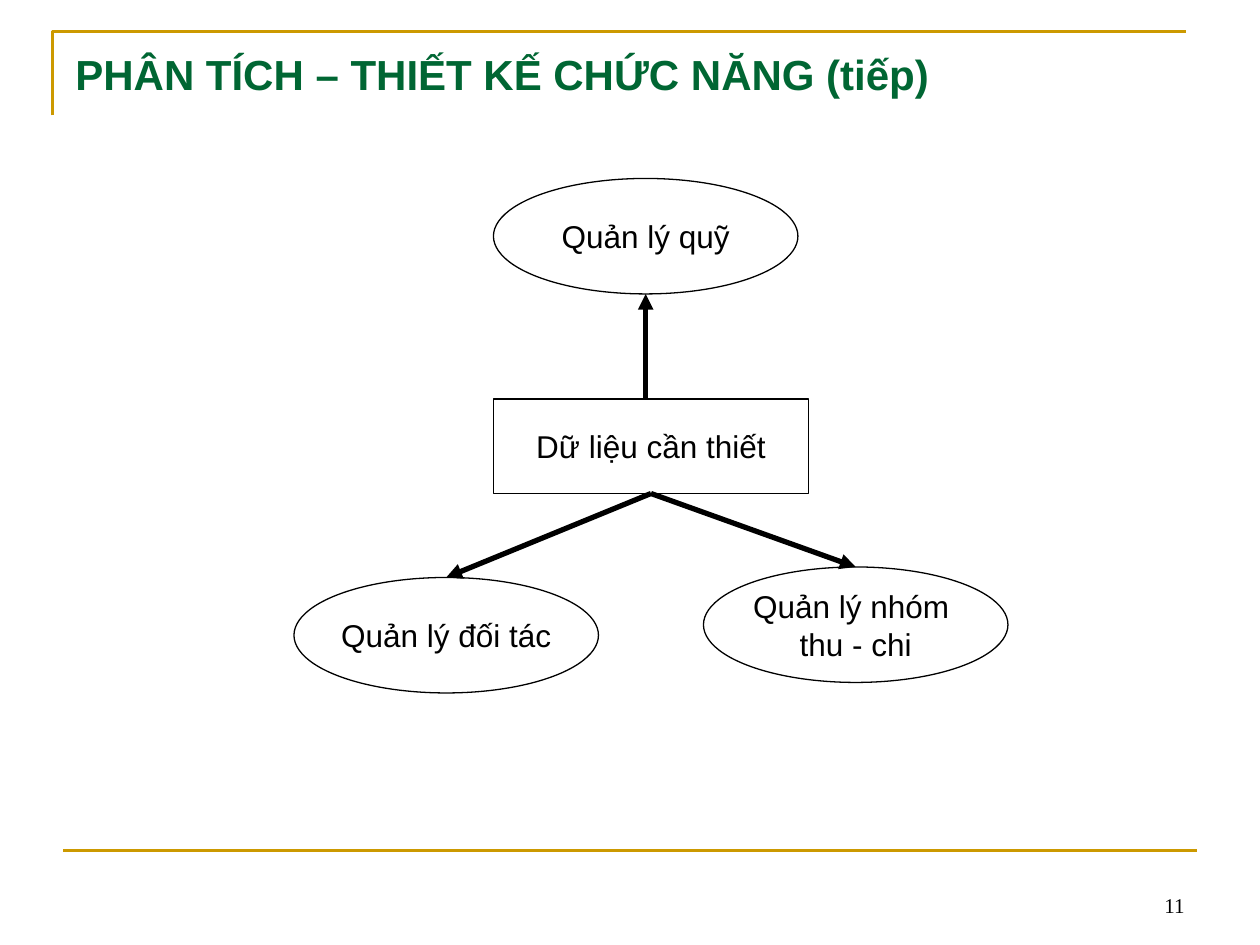
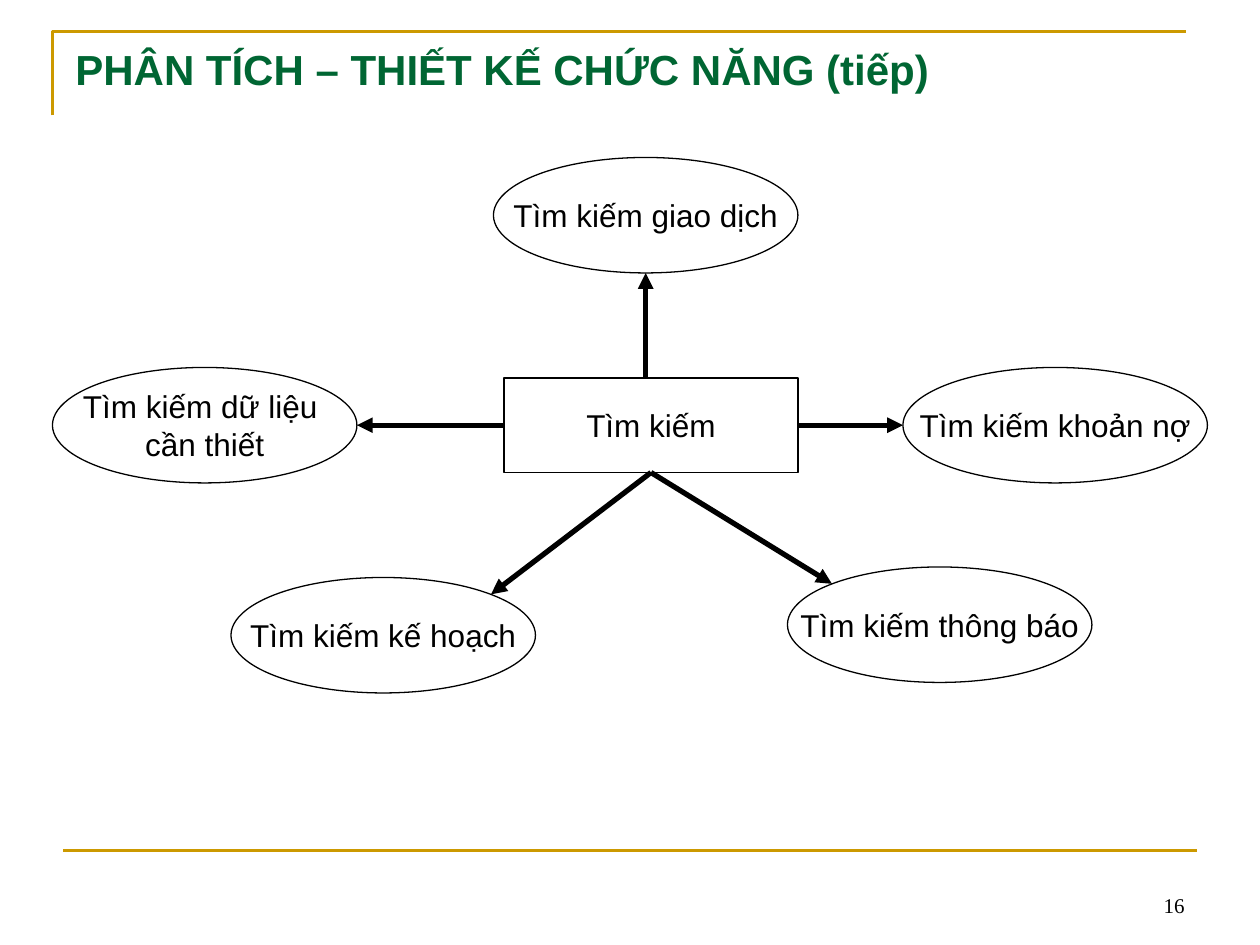
from dataclasses import dataclass
from typing import Any

from lxml import etree
from pptx import Presentation, util as u
from pptx.dml import color as dml
from pptx.enum import shapes, text
from pptx.oxml import ns

# Grid of 120 columns by 90 rows; every length below is in these cells.
CELL = u.Inches(1 / 12)
COLUMNS, ROWS = 120, 90

GOLD, GREEN, BLACK, WHITE = "CC9900", "006633", "000000", "FFFFFF"
TITLE = "PHÂN TÍCH – THIẾT KẾ CHỨC NĂNG (tiếp)"
TITLE_FONT = {"name": "Arial", "size": u.Pt(24), "bold": True}
NODE_FONT = {"name": "Arial", "size": u.Pt(18)}
PAGE_FONT = {"name": "Times New Roman", "size": u.Pt(12)}

Point = tuple[float, float]
# Attachment points as shares of a node's width and height.
DIAGONAL = 0.146
TOP, BOTTOM, LEFT, RIGHT = (0.5, 0), (0.5, 1), (0, 0.5), (1, 0.5)
TOP_LEFT, TOP_RIGHT = (DIAGONAL, DIAGONAL), (1 - DIAGONAL, DIAGONAL)


@dataclass(frozen=True)
class Box:
    left: float
    top: float
    width: float
    height: float

    def at(self, share: Point) -> Point:
        return self.left + share[0] * self.width, self.top + share[1] * self.height

    def emu(self) -> list[int]:
        return [cells(n) for n in (self.left, self.top, self.width, self.height)]


@dataclass(frozen=True)
class Function:
    """An ellipse reached by an arrow from the hub's exit to its own entry."""
    label: str
    left: float
    top: float
    exit: Point
    entry: Point

    @property
    def box(self) -> Box:
        return Box(self.left, self.top, 29, 11)


@dataclass(frozen=True)
class Diagram:
    page: str
    title_top: float
    hub_label: str
    hub: Box
    functions: tuple[Function, ...]


DIAGRAMS = (
    Diagram("11", 4, "Dữ liệu cần thiết", Box(47, 38, 30, 9), (
        Function("Quản lý quỹ", 47, 17, TOP, BOTTOM),
        Function("Quản lý nhóm \nthu - chi", 67, 54, BOTTOM, TOP),
        Function("Quản lý đối tác", 28, 55, BOTTOM, TOP),
    )),
    Diagram("16", 3.6, "Tìm kiếm", Box(48, 36, 28, 9), (
        Function("Tìm kiếm giao dịch", 47, 15, TOP, BOTTOM),
        Function("Tìm kiếm khoản nợ", 86, 35, RIGHT, LEFT),
        Function("Tìm kiếm kế hoạch", 22, 55, BOTTOM, TOP_RIGHT),
        Function("Tìm kiếm thông báo", 75, 54, BOTTOM, TOP_LEFT),
        Function("Tìm kiếm dữ liệu \ncần thiết", 5, 35, LEFT, RIGHT),
    )),
)


def cells(count: float) -> int:
    return round(count * CELL)


def rgb(value: str) -> dml.RGBColor:
    return dml.RGBColor.from_string(value)


def apply(target: Any, values: dict[str, Any]) -> None:
    for name, value in values.items():
        setattr(target, name, value)


def set_line(shape: Any, color: str, points: float) -> None:
    shape.line.color.rgb = rgb(color)
    shape.line.width = u.Pt(points)


def write(shape: Any, words: str, font: dict[str, Any], color: str,
          align: text.PP_ALIGN, anchor: text.MSO_ANCHOR, wrap: bool = True) -> None:
    frame = shape.text_frame
    frame.text = words
    apply(frame, {"word_wrap": wrap, "vertical_anchor": anchor})
    for paragraph in frame.paragraphs:
        paragraph.alignment = align
        apply(paragraph.font, font)
        paragraph.font.color.rgb = rgb(color)


def add_line(slide: Any, start: Point, end: Point, color: str, points: float,
             arrow: bool = False) -> None:
    line = slide.shapes.add_connector(
        shapes.MSO_CONNECTOR.STRAIGHT, *(cells(n) for n in (*start, *end)))
    set_line(line, color, points)
    properties = line._element.spPr
    if arrow:
        outline = properties.find(ns.qn("a:ln"))
        etree.SubElement(outline, ns.qn("a:tailEnd"), type="triangle")
    etree.SubElement(properties, ns.qn("a:effectLst"))


def add_node(slide: Any, kind: shapes.MSO_SHAPE, box: Box, label: str) -> None:
    node = slide.shapes.add_shape(kind, *box.emu())
    node.shadow.inherit = False
    node.fill.solid()
    node.fill.fore_color.rgb = rgb(WHITE)
    set_line(node, BLACK, 0.75)
    write(node, label, NODE_FONT, BLACK,
          text.PP_ALIGN.CENTER, text.MSO_ANCHOR.MIDDLE, wrap=False)


def add_frame(slide: Any, diagram: Diagram) -> None:
    """Draw the gold rules, the title and the page number."""
    builder = slide.shapes.build_freeform(cells(5), cells(11))
    builder.add_line_segments(
        [(cells(5), cells(3)), (cells(113), cells(3))], close=False)
    corner = builder.convert_to_shape()
    corner.shadow.inherit = False
    corner.fill.background()
    set_line(corner, GOLD, 1.5)
    add_line(slide, (6, 81), (114, 81), GOLD, 1.5)

    title = slide.shapes.add_textbox(*Box(6, diagram.title_top, 108, 7).emu())
    write(title, TITLE, TITLE_FONT, GREEN, text.PP_ALIGN.LEFT, text.MSO_ANCHOR.TOP)
    page = slide.shapes.add_textbox(*Box(86, 82, 28, 6).emu())
    write(page, diagram.page, PAGE_FONT, BLACK,
          text.PP_ALIGN.RIGHT, text.MSO_ANCHOR.BOTTOM)


def add_diagram(slide: Any, diagram: Diagram) -> None:
    add_node(slide, shapes.MSO_SHAPE.FLOWCHART_PROCESS, diagram.hub, diagram.hub_label)
    for function in diagram.functions:
        add_node(slide, shapes.MSO_SHAPE.FLOWCHART_CONNECTOR, function.box, function.label)
    for function in diagram.functions:
        start, end = diagram.hub.at(function.exit), function.box.at(function.entry)
        if function.exit == TOP:
            start = end[0], start[1]  # keeps the upward arrow vertical
        add_line(slide, start, end, BLACK, 3, arrow=True)


def main() -> None:
    deck = Presentation()
    apply(deck, {"slide_width": cells(COLUMNS), "slide_height": cells(ROWS)})
    for diagram in DIAGRAMS:
        slide = deck.slides.add_slide(deck.slide_layouts[6])
        add_frame(slide, diagram)
        add_diagram(slide, diagram)
    deck.save("out.pptx")


if __name__ == "__main__":
    main()
